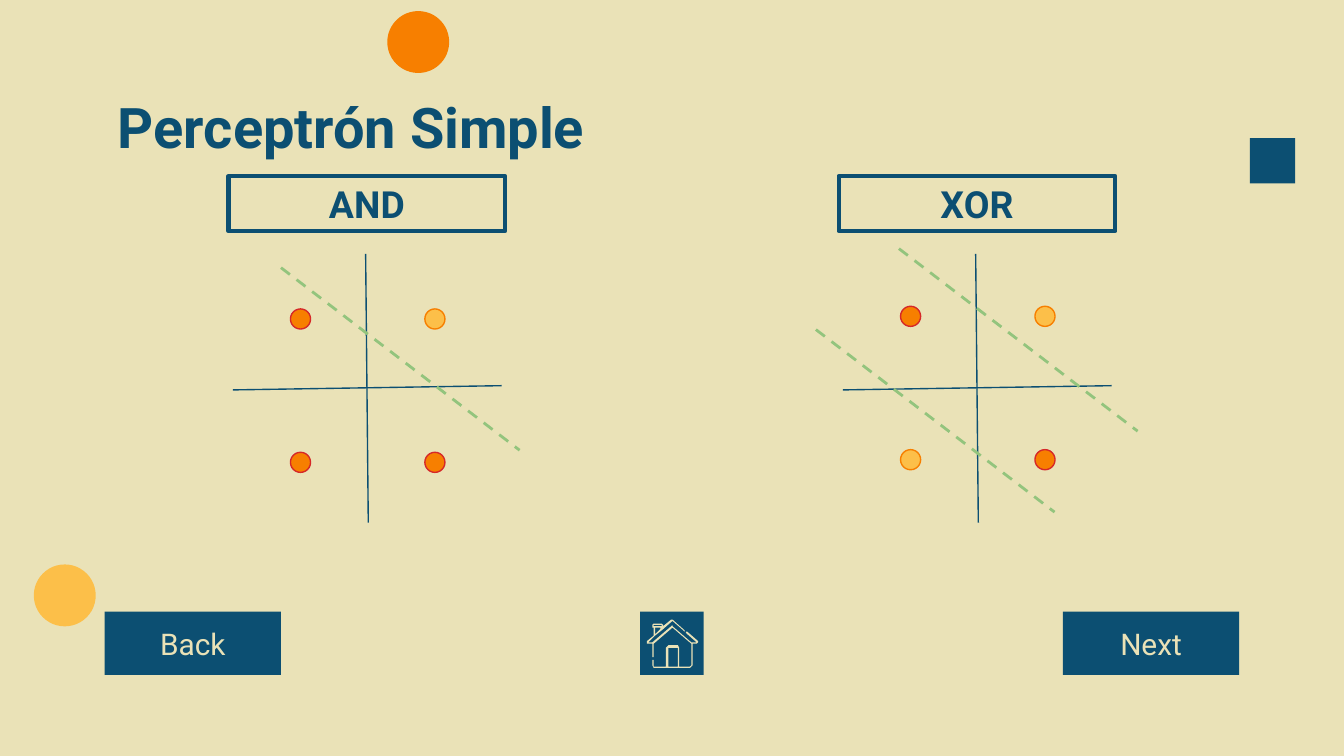
from lxml import etree
from pptx import Presentation
from pptx import util as u
from pptx.dml.color import RGBColor
from pptx.enum import dml, shapes, text
from pptx.oxml.ns import qn

NAVY, SAND, ORANGE = "0C4F72", "EAE2B7", "F77F00"
YELLOW, RED, GREEN = "FCBF49", "D62828", "93C47D"
FONT = "Roboto"
RECTANGLE, OVAL = shapes.MSO_SHAPE.RECTANGLE, shapes.MSO_SHAPE.OVAL

# House icon contours, in hundredths of an inch from the button corner
HOUSE = [
    [(16, 10), (16, 11), (10, 11), (10, 10)],
    [(15, 12), (15, 13), (11, 17), (11, 12)],
    [(28, 27), (28, 41), (21, 41), (21, 27)],
    [(24, 6), (23, 6), (17, 11), (17, 10), (16, 9), (10, 9), (9, 10),
     (9, 12), (10, 12), (10, 18), (5, 22), (5, 24), (9, 24), (9, 34),
     (10, 34), (10, 24), (24, 12), (38, 24), (38, 40), (37, 41), (29, 41),
     (29, 27), (28, 25), (21, 25), (19, 27), (19, 41), (10, 41), (10, 36),
     (9, 36), (9, 40), (10, 42), (37, 42), (39, 40), (39, 24), (42, 24),
     (43, 23), (43, 22), (35, 15), (34, 15), (34, 16), (42, 23), (38, 23),
     (24, 11), (24, 10), (23, 11), (9, 23), (6, 23), (11, 18), (16, 14),
     (24, 7), (32, 14), (33, 15), (33, 14)],
]


def color(value):
    return RGBColor.from_string(value)


def paint(shape, fill=None, line=None, weight=0.75):
    shape.shadow.inherit = False
    if fill:
        shape.fill.solid()
        shape.fill.fore_color.rgb = color(fill)
    else:
        shape.fill.background()
    if line:
        shape.line.color.rgb = color(line)
        shape.line.width = u.Pt(weight)
    else:
        shape.line.fill.background()


def add_shape(slide, kind, left, top, width, height, **style):
    shape = slide.shapes.add_shape(
        kind, u.Cm(left), u.Cm(top), u.Cm(width), u.Cm(height))
    paint(shape, **style)
    return shape


def add_line(slide, start, end, line, weight, dash=None):
    connector = slide.shapes.add_connector(
        shapes.MSO_CONNECTOR.STRAIGHT, *(u.Cm(v) for v in (*start, *end)))
    connector.line.color.rgb = color(line)
    connector.line.width = u.Pt(weight)
    if dash:
        connector.line.dash_style = dash
    properties = connector._element.find(qn("p:spPr"))
    etree.SubElement(properties, qn("a:effectLst"))


def write(shape, words, size, ink, bold=False, centered=True):
    frame = shape.text_frame
    frame.word_wrap = True
    frame.margin_left = frame.margin_right = u.Cm(0.25)
    frame.margin_top = frame.margin_bottom = u.Cm(0.25)
    anchor = text.MSO_ANCHOR
    frame.vertical_anchor = anchor.MIDDLE if centered else anchor.TOP
    paragraph = frame.paragraphs[0]
    align = text.PP_ALIGN
    paragraph.alignment = align.CENTER if centered else align.LEFT
    run = paragraph.add_run()
    run.text = words
    run.font.name = FONT
    run.font.size = u.Pt(size)
    run.font.bold = bold
    run.font.color.rgb = color(ink)


def add_decorations(slide):
    add_shape(slide, RECTANGLE, 23.62, 2.61, 0.86, 0.86, fill=NAVY)
    for left, top, fill in ((7.32, 0.21, ORANGE), (0.64, 10.67, YELLOW)):
        add_shape(slide, OVAL, left, top, 1.17, 1.17, fill=fill)


def add_title(slide, left, top, width, height):
    box = slide.shapes.add_textbox(
        u.Cm(left), u.Cm(top), u.Cm(width), u.Cm(height))
    write(box, "Perceptrón Simple", 30, NAVY, bold=True, centered=False)


def add_gate(slide, left, top, name, first_row, row_gap, truths, separators):
    """Label, axes, four points (row by row) and separating lines."""
    label = add_shape(slide, RECTANGLE, left, top, 5.23, 1.04,
                      line=NAVY, weight=2.25)
    write(label, name, 20, NAVY, bold=True)

    def place(x, y):
        return left + x, top + y

    # Axes
    add_line(slide, place(5.16, 3.96), place(0.08, 4.04), NAVY, 0.75)
    add_line(slide, place(2.59, 1.47), place(2.64, 6.55), NAVY, 0.75)

    # Points: yellow where the gate is true
    for index, truth in enumerate(truths):
        row, column = divmod(index, 2)
        x, y = place(1.17 + 2.54 * column, first_row + row_gap * row)
        fill, line = (YELLOW, ORANGE) if truth else (ORANGE, RED)
        add_shape(slide, OVAL, x, y, 0.38, 0.38, fill=fill, line=line)

    # Separating lines, all with the same slope
    for x, y in separators:
        add_line(slide, place(x, y), place(x + 4.51, y + 3.45),
                 GREEN, 1.5, dml.MSO_LINE.DASH)


def add_home_button(slide, left, top, side):
    add_shape(slide, RECTANGLE, left, top, side, side, fill=NAVY)
    builder = slide.shapes.build_freeform(*HOUSE[0][0], scale=u.Cm(2.54) / 100)
    for contour in HOUSE:
        builder.move_to(*contour[0])
        builder.add_line_segments(contour[1:], close=True)
    paint(builder.convert_to_shape(u.Cm(left), u.Cm(top)), fill=SAND)


def add_navigation(slide, left, top, width, height):
    button_width = 3.33
    for words, x in (("Back", left), ("Next", left + width - button_width)):
        button = add_shape(slide, RECTANGLE, x, top, button_width, height,
                           fill=NAVY)
        write(button, words, 16, SAND)
    add_home_button(slide, left + (width - height) / 2, top, height)


def main():
    presentation = Presentation()
    presentation.slide_width = u.Cm(25.4)
    presentation.slide_height = u.Cm(14.29)
    slide = presentation.slides.add_slide(presentation.slide_layouts[6])
    slide.background.fill.solid()
    slide.background.fill.fore_color.rgb = color(SAND)

    add_decorations(slide)
    add_title(slide, 1.98, 1.5, 21.44, 1.6)
    add_gate(slide, 4.32, 3.33, "AND", 2.51, 2.71,
             (False, True, False, False), [(0.99, 1.73)])
    add_gate(slide, 15.85, 3.33, "XOR", 2.46, 2.71,
             (False, True, True, False), [(1.14, 1.37), (-0.43, 2.9)])
    add_navigation(slide, 1.98, 11.56, 21.44, 1.2)
    presentation.save("out.pptx")


if __name__ == "__main__":
    main()
